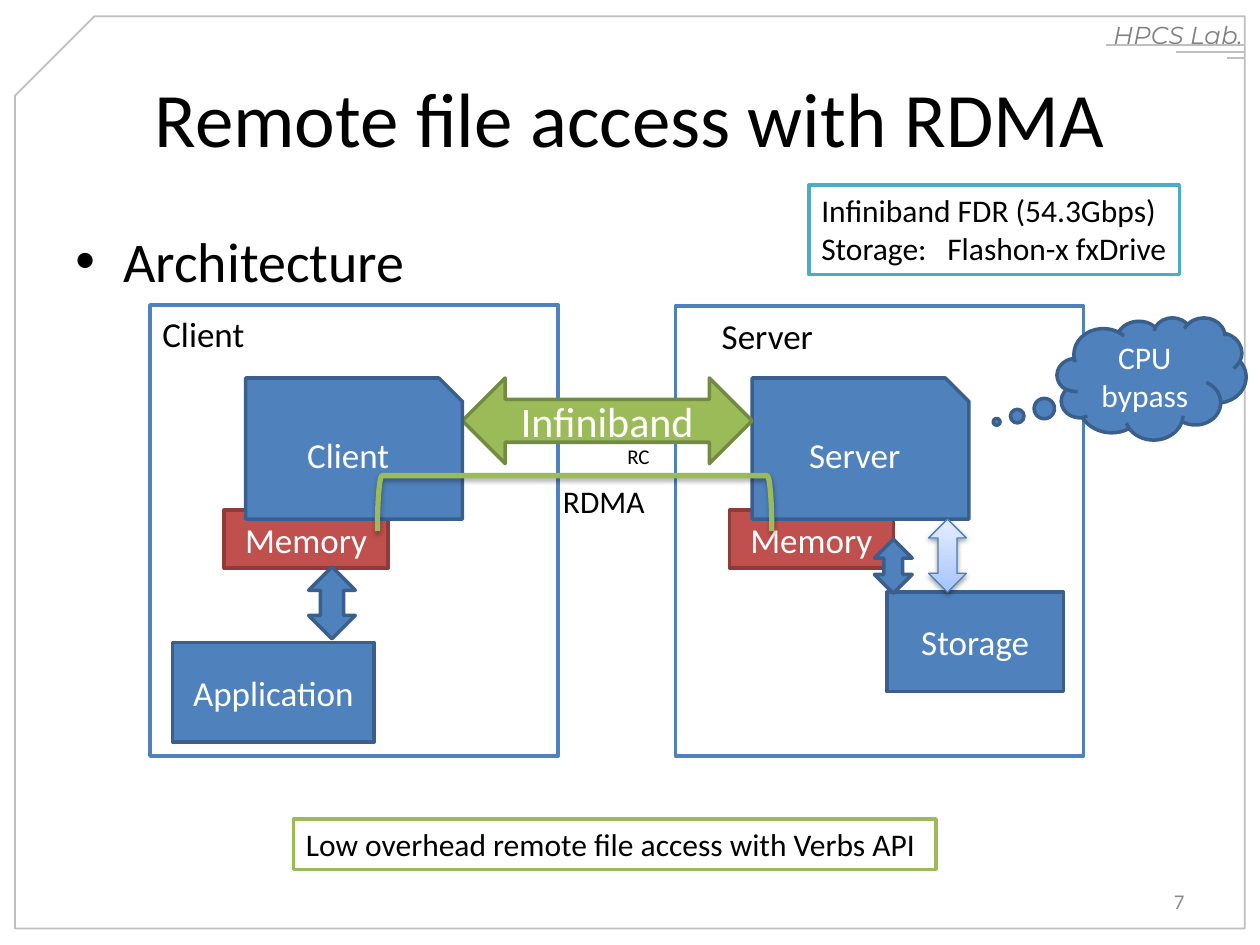
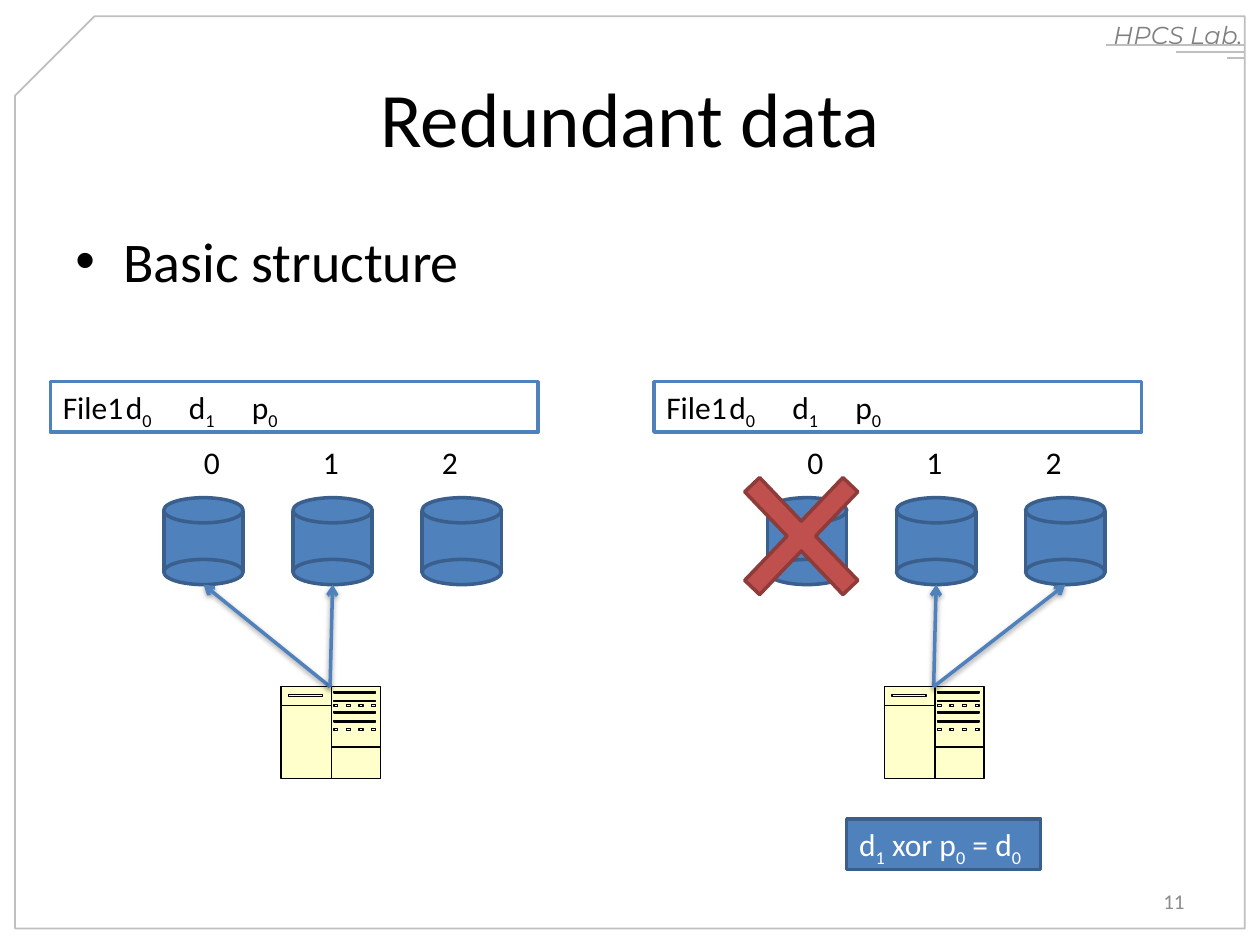
from lxml import etree
from pptx import Presentation, util as u
from pptx.dml.color import RGBColor
from pptx.enum import shapes as sh, text as tx
from pptx.oxml.ns import qn

BLACK = RGBColor(0, 0, 0)
WHITE = RGBColor(255, 255, 255)
BLUE = RGBColor(0x4F, 0x81, 0xBD)
NAVY = RGBColor(0x3A, 0x5F, 0x8C)
RED = RGBColor(0xC0, 0x50, 0x4D)
WINE = RGBColor(0x8E, 0x3B, 0x39)
GREEN = RGBColor(0x9B, 0xBB, 0x59)
OLIVE = RGBColor(0x73, 0x8A, 0x42)
TEAL = RGBColor(0x4B, 0xAC, 0xC6)
CREAM = RGBColor(0xFF, 0xFF, 0xCC)
PALE = RGBColor(0xE6, 0xEE, 0xFF)
SKY = RGBColor(0xA4, 0xC4, 0xFF)
STEEL = RGBColor(0x4B, 0x7E, 0xBC)
RULE = RGBColor(0xBF, 0xBF, 0xBF)
GRAY = RGBColor(0x80, 0x80, 0x80)
PAGE = RGBColor(0x8C, 0x8C, 0x8C)

FORM = sh.MSO_SHAPE
LEFT, MID, RIGHT = tx.PP_ALIGN.LEFT, tx.PP_ALIGN.CENTER, tx.PP_ALIGN.RIGHT
RECT, SNIP, OVAL = FORM.RECTANGLE, FORM.SNIP_1_RECTANGLE, FORM.OVAL
UPDOWN = FORM.UP_DOWN_ARROW

LAB = "HPCS Lab."
RULES = [(8.78, 0.36), (9.33, 0.41), (9.74, 0.46)]
EDGE = 9.88

SOLID = dict(fill=BLUE, line=NAVY)
HOT = dict(fill=RED, line=WINE)
FRAME = dict(line=BLUE)
GO = dict(fill=GREEN, line=OLIVE, size=24)

PARTS = [
    (RECT, (5.79, 4.05, 1.3, 0.46), "Memory", HOT),
    (RECT, (1.19, 2.42, 3.24, 3.58), "", FRAME),
    (RECT, (5.36, 2.43, 3.24, 3.57), "", FRAME),
    (SNIP, (5.97, 3, 1.72, 1.12), "Server", SOLID),
    (RECT, (7.04, 4.7, 1.4, 0.79), "Storage", SOLID),
    (UPDOWN, (7.37, 4.12, 0.3, 0.58), "",
     dict(fill=[SKY, PALE], line=STEEL, width=0.75, shade=38)),
    (FORM.LEFT_RIGHT_ARROW, (3.67, 3, 2.3, 0.68), "Infiniband", GO),
    (RECT, (1.78, 4.05, 1.3, 0.46), "Memory", HOT),
    (SNIP, (1.95, 3, 1.72, 1.12), "Client", SOLID),
    (RECT, (1.37, 5.1, 1.6, 0.79), "Application", SOLID),
    (UPDOWN, (2.45, 4.5, 0.37, 0.57), "", SOLID),
    (FORM.LEFT_BRACKET, (4.34, 2.43, 0.44, 3.13), "",
     dict(line=GREEN, width=3, turn=90, shade=35)),
    (UPDOWN, (6.94, 4.28, 0.3, 0.43), "", SOLID),
    (FORM.CLOUD_CALLOUT, (8.39, 2.52, 1.5, 0.97), "CPU bypass",
     dict(SOLID, size=18, adj=(-0.82, 0.354))),
]
LABELS = [
    ((1.19, 2.43, 0.86, 0.44), "Client", 20),
    ((5.63, 2.45, 0.93, 0.44), "Server", 20),
    ((4.37, 3.78, 0.86, 0.4), "RDMA", 18),
    ((4.88, 3.47, 0.38, 0.3), "RC", 12),
]
NOTES = [
    ((6.42, 1.47, 2.94, 0.71), "Infiniband FDR (54.3Gbps)\nStorage:\tFlashon-x fxDrive", TEAL),
    ((2.33, 6.5, 5.1, 0.4), "Low overhead remote file access with Verbs API", GREEN),
]

FILE = "File1\td_0\td_1\tp_0"
SUM = "d_1 xor p_0 = d_0"
DISKS = ["0", "1", "2"]
CASES = [(0, (0, 1)), (4.79, (1, 2))]


def inch(vals):
    return [u.Inches(v) for v in vals]


def write(shape, words, size=20, color=BLACK, font="Calibri", align=LEFT,
          middle=False, wrap=True, italic=False, bullet=False):
    frame = shape.text_frame
    frame.word_wrap = wrap
    frame.vertical_anchor = tx.MSO_ANCHOR.MIDDLE if middle else tx.MSO_ANCHOR.TOP
    for n, row in enumerate(words.split("\n")):
        para = frame.add_paragraph() if n else frame.paragraphs[0]
        para.alignment = align
        if bullet:
            props = para._p.get_or_add_pPr()
            props.set("marL", str(u.Inches(0.38)))
            props.set("indent", str(-u.Inches(0.38)))
            etree.SubElement(props, qn("a:buFont")).set("typeface", "Arial")
            etree.SubElement(props, qn("a:buChar")).set("char", "•")
        first, *rest = row.split("_")
        runs = [(first, False)]
        for bit in rest:
            runs += [(bit[0], True), (bit[1:], False)]
        for word, low in runs:
            if not word:
                continue
            run = para.add_run()
            run.text = word
            run.font.size = u.Pt(size)
            run.font.name = font
            run.font.italic = italic
            run.font.color.rgb = color
            if low:
                run._r.get_or_add_rPr().set("baseline", "-25000")


def label(page, at, words, **form):
    write(page.shapes.add_textbox(*inch(at)), words, **form)


def cast(glow, alpha):
    drop = etree.SubElement(glow, qn("a:outerShdw"), blurRad=str(u.Pt(3.1)),
                            dist=str(u.Pt(1.6)), dir="5400000", rotWithShape="0")
    tint = etree.SubElement(drop, qn("a:srgbClr"), val="000000")
    etree.SubElement(tint, qn("a:alpha"), val=str(alpha * 1000))


def paint(shape, fill=None, line=BLACK, width=2.0, shade=0):
    if fill is None:
        shape.fill.background()
    elif isinstance(fill, list):
        shape.fill.gradient()
        shape.fill.gradient_angle = 90
        for stop, color in zip(shape.fill.gradient_stops, fill):
            stop.color.rgb = color
    else:
        shape.fill.solid()
        shape.fill.fore_color.rgb = fill
    shape.line.color.rgb = line
    shape.line.width = u.Pt(width)
    shape.shadow.inherit = False
    if shade:
        cast(shape._element.spPr.find(qn("a:effectLst")), shade)


def draw(home, kind, at, adj=(), turn=0, **look):
    shape = home.shapes.add_shape(kind, *inch(at))
    for n, val in enumerate(adj):
        shape.adjustments[n] = val
    shape.rotation = turn
    paint(shape, **look)
    return shape


def wire(page, start, end, color, width, arrow=False):
    link = page.shapes.add_connector(sh.MSO_CONNECTOR.STRAIGHT, *inch(start + end))
    link.line.color.rgb = color
    link.line.width = u.Pt(width)
    glow = etree.SubElement(link._element.spPr, qn("a:effectLst"))
    if arrow:
        etree.SubElement(link.line._get_or_add_ln(), qn("a:tailEnd")).set("type", "arrow")
        cast(glow, 38)


def start(deck, title, point, num):
    page = deck.slides.add_slide(deck.slide_layouts[6])
    label(page, (8.37, 0.11, 1.59, 0.34), LAB, size=14, color=GRAY,
          font="Montserrat", align=RIGHT, italic=True)
    edge = draw(page, SNIP, (0.12, 0.13, 9.76, 7.24), adj=(0.087,), line=RULE, width=1)
    edge._element.spPr.find(qn("a:xfrm")).set("flipH", "1")
    for x, y in RULES:
        wire(page, (x, y), (EDGE, y), RULE, 1)
    label(page, (0.5, 0.3, 9, 1.25), title, size=44, align=MID, middle=True)
    label(page, (0.5, 1.75, 9, 4.95), point, size=32, bullet=True)
    label(page, (7.17, 6.95, 2.33, 0.4), num, size=12, color=PAGE, align=RIGHT, middle=True)
    return page


def disk(page, x):
    group = page.shapes.add_group_shape()
    for kind, y, high in [(RECT, 4.06, 0.48), (OVAL, 3.95, 0.2), (OVAL, 4.44, 0.2)]:
        draw(group, kind, (x, y, 0.63, high), **SOLID)


def tower(page, x, y):
    def ring(a, b, w, h):
        return [(a, b), (a + w, b), (a + w, b + h), (a, b + h), (a, b)]

    draw(page, RECT, (x, y, 0.79, 0.73), fill=CREAM, width=0.75)
    lines = [[(0, 0.15), (0.4, 0.15), (0.4, 0.48), (0.79, 0.48)],
             [(0.4, 0), (0.4, 0.15)], [(0.4, 0.48), (0.4, 0.73)],
             ring(0.06, 0.06, 0.27, 0.02)]
    lines += [ring(0.42, b, 0.33, 0.01) for b in (0.04, 0.11, 0.2, 0.27)]
    lines += [ring(0.42 + 0.1 * n, b, 0.03, 0.02) for b in (0.14, 0.33) for n in range(4)]
    pen = None
    for line in lines:
        head, *tail = [inch((x + a, y + b)) for a, b in line]
        if pen is None:
            pen = page.shapes.build_freeform(*head, scale=1.0)
        else:
            pen.move_to(*head)
        pen.add_line_segments(tail, close=False)
    paint(pen.convert_to_shape(), width=0.75)


def remote(deck):
    page = start(deck, "Remote file access with RDMA", "Architecture", "7")
    for kind, at, words, look in PARTS:
        look = dict(look)
        size = look.pop("size", 20)
        shape = draw(page, kind, at, **look)
        if words:
            write(shape, words, size=size, color=WHITE, align=MID, middle=True)
    for at, words, size in LABELS:
        label(page, at, words, size=size, wrap=False)
    for at, words, line in NOTES:
        write(draw(page, RECT, at, fill=WHITE, line=line), words, size=18, wrap=False)


def spare(deck):
    page = start(deck, "Redundant data", "Basic structure", "11")
    for dx, live in CASES:
        bar = draw(page, RECT, (0.4 + dx, 3.03, 3.87, 0.4), fill=WHITE, line=BLUE)
        write(bar, FILE, size=18)
        tower(page, 2.23 + dx, 5.45)
        for n, name in enumerate(DISKS):
            x = 1.3 + 1.025 * n + dx
            disk(page, x)
            label(page, (1.52 + 0.945 * n + dx, 3.47, 0.33, 0.4), name, size=18, wrap=False)
            if n in live:
                wire(page, (2.62 + dx, 5.45), (x + 0.315, 4.64), BLUE, 2, arrow=True)
    draw(page, FORM.MATH_MULTIPLY, (5.61, 3.47, 1.5, 1.57), adj=(0.109,), **HOT)
    box = draw(page, RECT, (6.72, 6.5, 1.54, 0.4), **SOLID)
    write(box, SUM, size=18, color=WHITE, wrap=False)


def main():
    deck = Presentation()
    deck.slide_width, deck.slide_height = inch((10, 7.5))
    remote(deck)
    spare(deck)
    deck.save("out.pptx")


if __name__ == "__main__":
    main()
